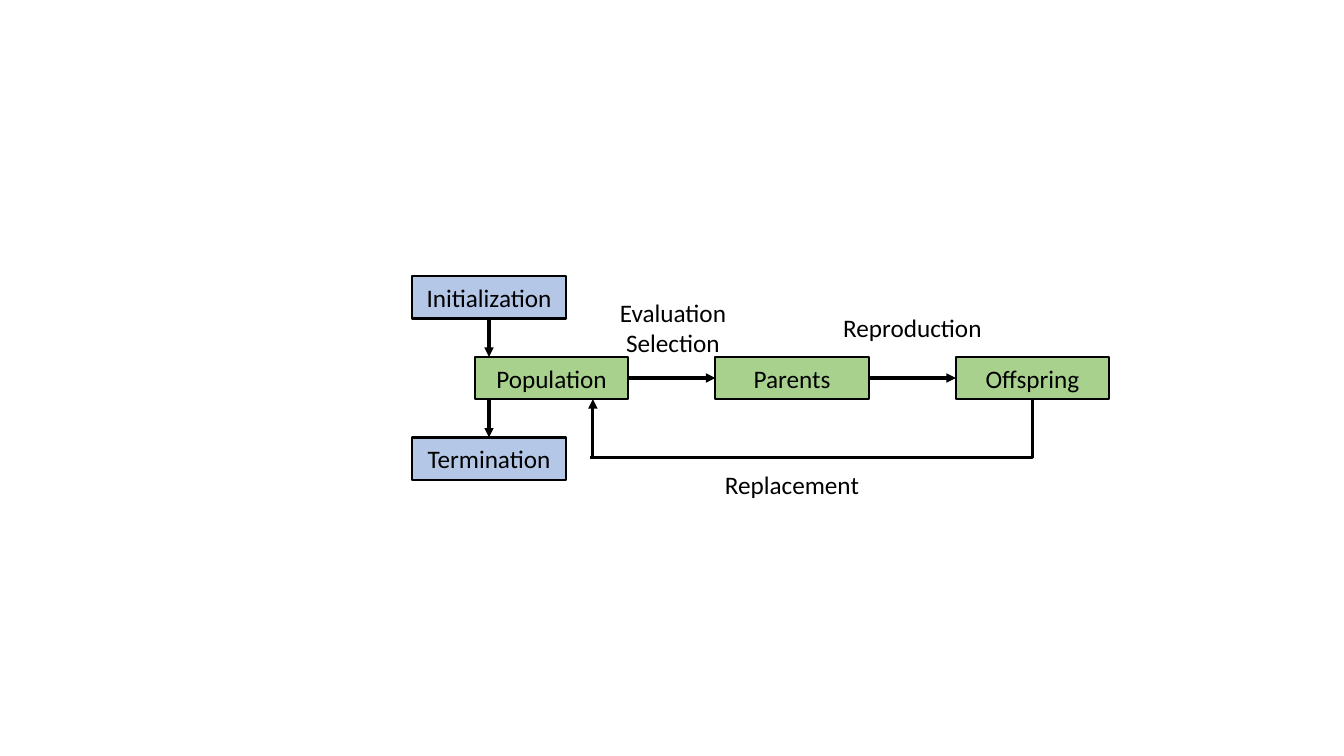
import pptx
import pptx.util
import pptx.dml.color
import pptx.enum.shapes
import pptx.enum.text
import pptx.oxml
import pptx.oxml.ns
from lxml import etree

Inches = pptx.util.Inches
COLORS = {"endpoint": "B4C7E7", "stage": "A9D18E", "ink": "000000"}
BOX_WIDTH, BOX_HEIGHT = 1.52, 0.42
FIRST_STAGE, LAST_STAGE = 4.71, 9.48
ROW_TOP, ROW_STEP = 2.74, 0.8
ENDPOINT_LEFT = 4.09

columns = [FIRST_STAGE + (LAST_STAGE - FIRST_STAGE) * index / 2 for index in range(3)]
rows = [ROW_TOP + ROW_STEP * index for index in range(3)]
middle = rows[1] + BOX_HEIGHT / 2
bottom = rows[1] + BOX_HEIGHT
center = ENDPOINT_LEFT + BOX_WIDTH / 2
corner_x = columns[2] + BOX_WIDTH / 2
return_x, return_y = 5.88, 4.54

deck = pptx.Presentation()
deck.slide_width = Inches(13.33)
deck.slide_height = Inches(7.5)
page = deck.slides.add_slide(deck.slide_layouts[6])


def write_text(box, text):
    frame = box.text_frame
    frame.word_wrap = True
    frame.text = text
    for para in frame.paragraphs:
        para.alignment = pptx.enum.text.PP_ALIGN.CENTER
        for span in para.runs:
            span.font.name = "Calibri"
            span.font.size = pptx.util.Pt(18)
            span.font.color.rgb = pptx.dml.color.RGBColor.from_string(COLORS["ink"])


def draw_line(kind, start_x, start_y, end_x, end_y, arrow=True):
    line = page.shapes.add_connector(
        kind, Inches(start_x), Inches(start_y), Inches(end_x), Inches(end_y))
    line.line.width = pptx.util.Pt(2.25)
    line.line.color.rgb = pptx.dml.color.RGBColor.from_string(COLORS["ink"])
    properties = line._element.spPr
    etree.SubElement(properties, pptx.oxml.ns.qn("a:effectLst"))
    if arrow:
        outline = properties.find(pptx.oxml.ns.qn("a:ln"))
        etree.SubElement(outline, pptx.oxml.ns.qn("a:tailEnd")).set("type", "triangle")
    return line


for text, left, top, color in [
    ("Initialization", ENDPOINT_LEFT, rows[0], "endpoint"),
    ("Termination", ENDPOINT_LEFT, rows[2], "endpoint"),
    ("Population", columns[0], rows[1], "stage"),
    ("Parents", columns[1], rows[1], "stage"),
    ("Offspring", columns[2], rows[1], "stage"),
]:
    box = page.shapes.add_shape(
        pptx.enum.shapes.MSO_SHAPE.RECTANGLE,
        Inches(left), Inches(top), Inches(BOX_WIDTH), Inches(BOX_HEIGHT))
    box.shadow.inherit = False
    box.fill.solid()
    box.fill.fore_color.rgb = pptx.dml.color.RGBColor.from_string(COLORS[color])
    box.line.color.rgb = pptx.dml.color.RGBColor.from_string(COLORS["ink"])
    box.line.width = pptx.util.Pt(1.5)
    box.text_frame.vertical_anchor = pptx.enum.text.MSO_ANCHOR.MIDDLE
    write_text(box, text)

STRAIGHT = pptx.enum.shapes.MSO_CONNECTOR.STRAIGHT
ELBOW = pptx.enum.shapes.MSO_CONNECTOR.ELBOW
for left, right in zip(columns, columns[1:]):
    draw_line(STRAIGHT, left + BOX_WIDTH, middle, right, middle)
for upper, lower in zip(rows, rows[1:]):
    draw_line(STRAIGHT, center, upper + BOX_HEIGHT, center, lower)

elbow = draw_line(ELBOW, return_x - 0.03, return_y, corner_x, bottom, arrow=False)
elbow._element.spPr.find(pptx.oxml.ns.qn("a:prstGeom")).set("prst", "bentConnector2")
draw_line(STRAIGHT, return_x, return_y, return_x, bottom)

for text, left, top, width, height in [
    ("Evaluation\nSelection", 6.01, 2.9, 1.33, 0.71),
    ("Reproduction", 8.15, 3.05, 1.8, 0.4),
    ("Replacement", 7.04, 4.61, 1.63, 0.4),
]:
    label = page.shapes.add_textbox(Inches(left), Inches(top), Inches(width), Inches(height))
    write_text(label, text)

deck.save("out.pptx")
